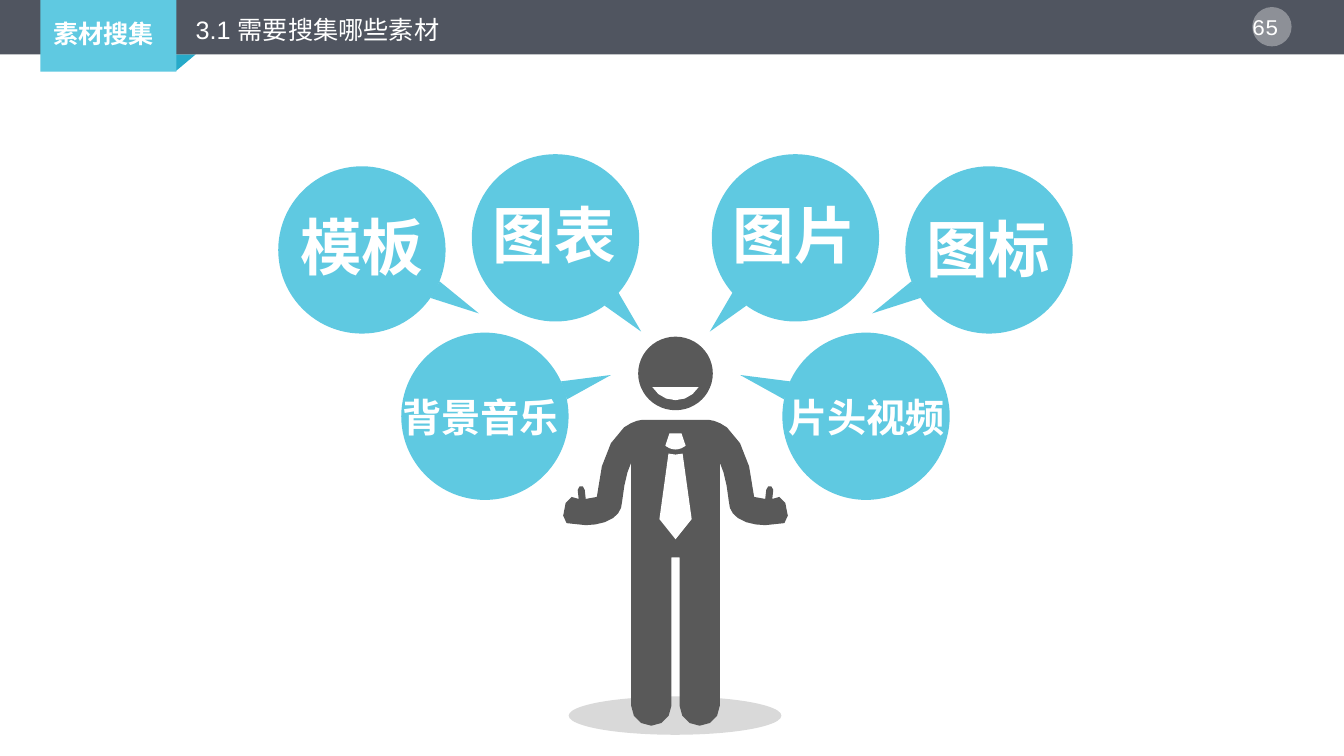
from dataclasses import dataclass
from math import atan2, cos, radians, sin

from lxml.etree import SubElement
from pptx import Presentation
from pptx.dml.color import RGBColor as RGB
from pptx.enum.shapes import MSO_SHAPE as Kind
from pptx.enum.text import MSO_ANCHOR as Anchor, PP_ALIGN as Align
from pptx.oxml.ns import qn
from pptx.util import Inches, Pt

COLORS = {"bar": "505560", "sky": "5FC9E1", "fold": "27AAC9",
          "man": "595959", "white": "FFFFFF", "black": "000000"}
COLS, ROWS = 1333, 750  # fine grid over the slide
AXIS = 670              # column on which the drawing is mirrored
RADIUS = 83             # bubble radius
Point = tuple[float, float]
Path = list[tuple[float, ...]]  # pairs are corners, sixes are Bezier curves

deck = Presentation()
deck.slide_width, deck.slide_height = Inches(13.33), Inches(7.5)
slide = deck.slides.add_slide(deck.slide_layouts[5])
shapes = slide.shapes


def col(n: float) -> int:
    return round(deck.slide_width * n / COLS)


def row(n: float) -> int:
    return round(deck.slide_height * n / ROWS)


@dataclass
class Block:
    kind: Kind
    x: float
    y: float
    w: float
    h: float
    color: str
    alpha: int = 100
    turn: int = 0


@dataclass
class Bubble:
    label: str
    size: int
    x: float      # centre, counted from the axis
    y: float
    tip_x: float  # counted from the axis
    tip_y: float
    text_x: float  # centre of the label
    text_y: float


def paint(shape, color: str, alpha: int = 100) -> None:
    shape.shadow.inherit = False
    shape.line.fill.background()
    shape.fill.solid()
    shape.fill.fore_color.rgb = RGB.from_string(COLORS[color])
    if alpha < 100:
        tone = shape.element.spPr.find(".//" + qn("a:srgbClr"))
        SubElement(tone, qn("a:alpha"), val=str(alpha * 1000))


def draw_block(b: Block) -> None:
    shape = shapes.add_shape(b.kind, col(b.x), row(b.y), col(b.w), row(b.h))
    shape.rotation = b.turn
    paint(shape, b.color, b.alpha)


def draw_form(dots: list[Point], color: str) -> None:
    first, *rest = [(col(AXIS + x), row(y)) for x, y in dots]
    pen = shapes.build_freeform(*first)
    pen.add_line_segments(rest, close=True)
    paint(pen.convert_to_shape(), color)


def trace(half: Path, steps: int = 3) -> list[Point]:
    """Flatten the right half of an outline and add its mirrored left half."""
    dots: list[Point] = []
    for part in half:
        if len(part) == 2:
            dots.append(part)
            continue
        knots = [dots[-1], part[:2], part[2:4], part[4:]]
        for i in range(1, steps + 1):
            t = i / steps
            mix = ((1 - t) ** 3, 3 * t * (1 - t) ** 2, 3 * t * t * (1 - t), t ** 3)
            dots.append(tuple(sum(m * k[axis] for m, k in zip(mix, knots))
                              for axis in (0, 1)))
    return dots + [(-x, y) for x, y in reversed(dots) if x]


def write(text: str, x: float, y: float, w: float, h: float, *, size: int,
          bold: bool = False, font: str = "Arial", align: Align = Align.CENTER,
          wrap: bool = False, space: float = 1.0, box=None) -> None:
    box = box or shapes.add_textbox(0, 0, 0, 0)
    box.left, box.top, box.width, box.height = col(x), row(y), col(w), row(h)
    frame = box.text_frame
    frame.text = text
    frame.word_wrap = wrap
    frame.vertical_anchor = Anchor.TOP
    para = frame.paragraphs[0]
    para.alignment = align
    para.line_spacing = space
    para.font.size, para.font.bold, para.font.name = Pt(size), bold, font
    para.font.color.rgb = RGB.from_string(COLORS["white"])


def draw_bubble(b: Bubble) -> None:
    draw_block(Block(Kind.OVAL, AXIS + b.x - RADIUS, b.y - RADIUS,
                     2 * RADIUS, 2 * RADIUS, "sky"))
    aim = atan2(b.tip_y - b.y, b.tip_x - b.x)
    root = [(b.x + RADIUS * cos(aim + turn), b.y + RADIUS * sin(aim + turn))
            for turn in (radians(-6.5), radians(6.5))]
    draw_form([(b.tip_x, b.tip_y)] + root, "sky")


# Header band, tab, page badge, ground shadow and the man's head
BLOCKS = [
    Block(Kind.ISOSCELES_TRIANGLE, 156, 54, 38, 16, "fold", turn=180),
    Block(Kind.RECTANGLE, 0, 0, COLS, 54, "bar"),
    Block(Kind.RECTANGLE, 40, 0, 135, 71, "sky"),
    Block(Kind.OVAL, 1242, 7, 39, 39, "white", alpha=35),
    Block(Kind.OVAL, 564, 691, 211, 38, "black", alpha=15),
    Block(Kind.OVAL, 633, 334, 74, 73, "man"),
]
for block in BLOCKS:
    draw_block(block)
write("65 ", 1226, 8, 71, 37, size=16, font="Courier New", wrap=True)
write("素材搜集", 43, 13, 121, 40, size=18, bold=True, align=Align.LEFT)

# Title, raised above the band
title = shapes.title
shapes.element.append(title.element)
write("3.1 需要搜集哪些素材", 184, 3, 1040, 43, size=18, align=Align.LEFT,
      wrap=True, space=1.2, box=title)

# Man: right halves of the outlines, counted from the axis
BODY: Path = [
    (33, 416.5), (38, 417, 44, 419, 51, 424),
    (66, 436, 75, 459, 78, 493), (89, 495),
    (90, 486), (90, 481, 97, 481, 97, 486), (96, 495), (103, 493),
    (110, 492, 115, 518, 108, 519), (89, 521),
    (80, 521, 69, 519, 62, 514), (56, 510, 53, 504, 53, 498),
    (51, 480, 48, 467, 44, 459), (44, 700),
    (44, 711, 35, 720, 24, 720), (13, 720, 4, 711, 4, 700), (4, 553),
]
SMILE: Path = [(23, 384), (18, 392, 10, 397, 0, 397)]
KNOT: Path = [(6, 430), (10, 442), (9, 443), (6, 445, 3, 446, 0, 446)]
TIE: Path = [(0, 451), (7, 450), (16, 515), (0, 535)]
for half, color in ((BODY, "man"), (SMILE, "white"), (KNOT, "white"),
                    (TIE, "white")):
    draw_form(trace(half), color)

# Speech bubbles and their labels
BUBBLES = [
    Bubble("模板", 44, -311, 248, -195, 311, 359, 244),
    Bubble("图表", 44, -119, 236, -34, 329, 550, 232),
    Bubble("图片", 44, 119, 236, 34, 329, 788, 232),
    Bubble("图标", 44, 311, 248, 195, 311, 980, 246),
    Bubble("背景音乐", 28, -189, 413, -64, 372, 476.5, 413.5),
    Bubble("片头视频", 28, 189, 413, 64, 372, 859.5, 413.5),
]
for bubble in BUBBLES:
    draw_bubble(bubble)
    wide, high = (144, 84) if bubble.size == 44 else (177, 57)
    write(bubble.label, bubble.text_x - wide / 2, bubble.text_y - high / 2,
          wide, high, size=bubble.size, bold=True)

deck.save("out.pptx")
